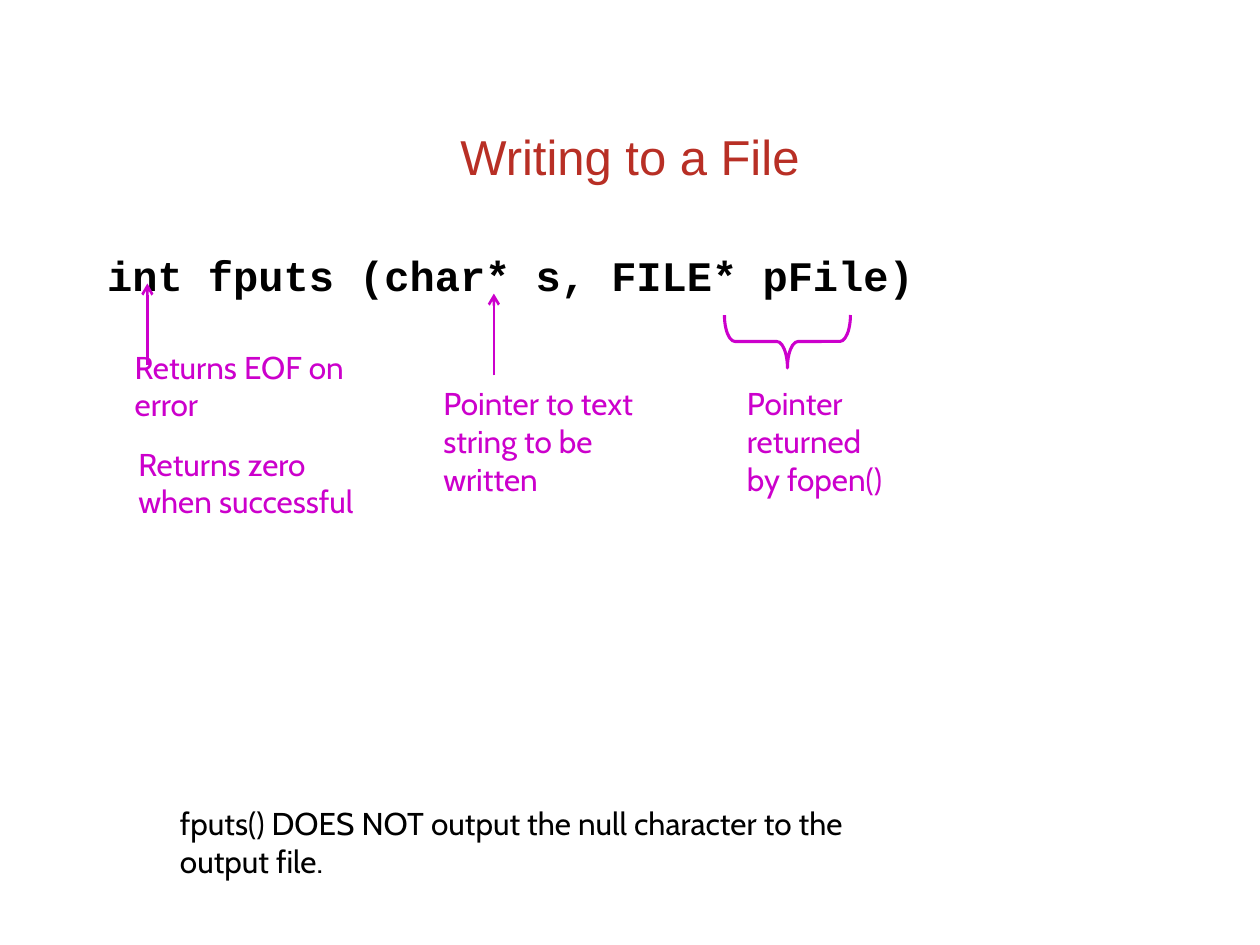
from lxml import etree
from pptx import Presentation
from pptx.dml.color import RGBColor
from pptx.enum import shapes, text
from pptx.oxml.ns import qn
from pptx.util import Inches, Pt

COLORS = {"title": "B82F25", "code": "000000", "note": "CC00CC"}

TITLE = "Writing to a File"
PROTOTYPE = "int fputs (char* s, FILE* pFile)"
# wording, (left, top, width, height), colour
NOTES = [
    ("Pointer to text string to be written", (3.42, 3, 1.95, 1), "note"),
    ("Pointer returned by fopen()", (5.83, 3, 1.42, 1), "note"),
    ("Returns EOF on error", (0.97, 2.71, 1.95, 0.7), "note"),
    ("Returns zero when successful", (1, 3.48, 2.04, 0.7), "note"),
    ("fputs() DOES NOT output the null character to the output file.",
     (1.33, 6.33, 5.52, 0.71), "code"),
]
# x and tip height of each arrow pointing up at the prototype
ARROWS = [(3.92, 2.33), (1.17, 2.25)]
ARROW_LENGTH = 0.65
BRACE = (6.04, 2.21, 0.42, 1)


def color(name):
    return RGBColor.from_string(COLORS[name])


def write(shape, wording, font, size, color_name, bold=False):
    frame = shape.text_frame
    frame.word_wrap = True
    frame.auto_size = text.MSO_AUTO_SIZE.NONE
    frame.text = wording
    paragraph = frame.paragraphs[0]
    paragraph.space_before = Pt(0)
    paragraph.font.name = font
    paragraph.font.size = Pt(size)
    paragraph.font.bold = bold
    paragraph.font.color.rgb = color(color_name)
    return paragraph


def place(shape, box):
    shape.left, shape.top, shape.width, shape.height = map(Inches, box)


def add_arrow(slide, x, tip):
    arrow = slide.shapes.add_connector(
        shapes.MSO_CONNECTOR.STRAIGHT,
        Inches(x), Inches(tip + ARROW_LENGTH), Inches(x), Inches(tip))
    arrow.line.color.rgb = color("note")
    arrow.line.width = Pt(1.5)
    etree.SubElement(arrow.line._get_or_add_ln(), qn("a:tailEnd"), type="arrow")
    etree.SubElement(arrow._element.spPr, qn("a:effectLst"))


def main():
    deck = Presentation()
    deck.slide_width, deck.slide_height = Inches(10), Inches(7.5)
    slide = deck.slides.add_slide(deck.slide_layouts[1])

    title, prototype = slide.placeholders
    place(title, (0.75, 0.43, 8.5, 1.61))
    title.text_frame.vertical_anchor = text.MSO_ANCHOR.MIDDLE
    write(title, TITLE, "Arial", 28, "title").alignment = text.PP_ALIGN.CENTER

    place(prototype, (0.75, 1.93, 8.5, 0.59))
    signature = write(prototype, PROTOTYPE, "Courier New", 24, "code", bold=True)
    properties = signature._p.get_or_add_pPr()
    properties.set("marL", "0")
    properties.set("indent", "0")
    properties.insert_element_before(
        properties.makeelement(qn("a:buNone"), {}), "a:tabLst", "a:defRPr")

    for wording, box, color_name in NOTES:
        note = slide.shapes.add_textbox(*map(Inches, box))
        write(note, wording, "Cabin", 18, color_name)

    brace = slide.shapes.add_shape(
        shapes.MSO_SHAPE.LEFT_BRACE, *map(Inches, BRACE))
    brace.rotation = 270
    brace.adjustments[0] = 0.2
    brace.shadow.inherit = False
    brace.fill.background()
    brace.line.color.rgb = color("note")
    brace.line.width = Pt(1.75)

    for x, tip in ARROWS:
        add_arrow(slide, x, tip)

    deck.save("out.pptx")


if __name__ == "__main__":
    main()
